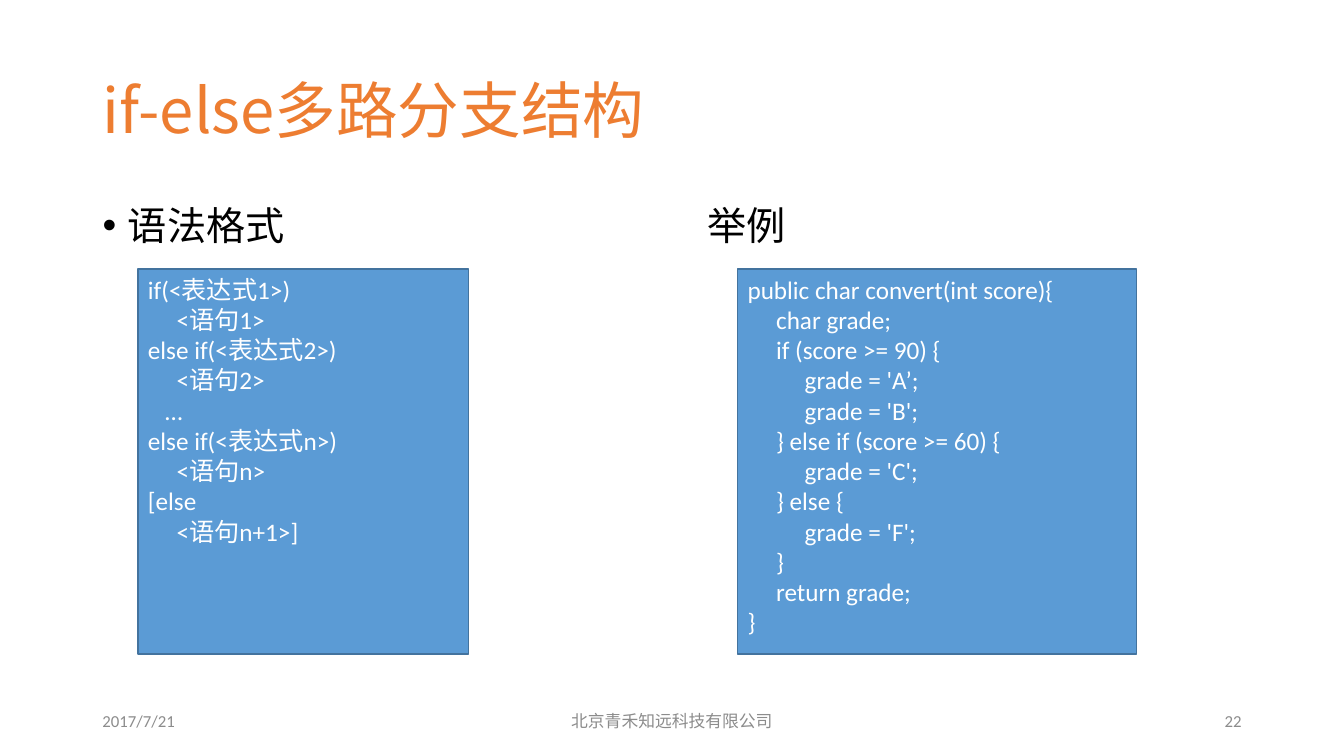
"""Build the slide on the if-else multi-way branch structure."""
import pptx
import pptx.dml.color
import pptx.enum.shapes
import pptx.enum.text
import pptx.oxml
import pptx.oxml.ns
import pptx.util

Cm = pptx.util.Cm
RGBColor = pptx.dml.color.RGBColor
ALIGN = pptx.enum.text.PP_ALIGN
ANCHOR = pptx.enum.text.MSO_ANCHOR

ORANGE = RGBColor(0xED, 0x7D, 0x31)
BLACK = RGBColor(0, 0, 0)
GRAY = RGBColor(0x8C, 0x8C, 0x8C)
WHITE = RGBColor(0xFF, 0xFF, 0xFF)
BLUE = RGBColor(0x5B, 0x9B, 0xD5)
DARK_BLUE = RGBColor(0x43, 0x73, 0x9E)
LATIN_FONT = "Calibri"
CHINESE_FONT = "Noto Sans CJK SC"

TITLE = "if-else多路分支结构"
HEADINGS = ("语法格式", "举例")
SYNTAX = [
    (0, "if(<表达式1>)"),
    (1, "<语句1>"),
    (0, "else if(<表达式2>)"),
    (1, "<语句2>"),
    (0.6, "…"),
    (0, "else if(<表达式n>)"),
    (1, "<语句n>"),
    (0, "[else"),
    (1, "<语句n+1>]"),
]
EXAMPLE = [
    (0, "public char convert(int score){"),
    (1, "char grade;"),
    (1, "if (score >= 90) {"),
    (2, "grade = 'A’;"),
    (2, "grade = 'B';"),
    (1, "} else if (score >= 60) {"),
    (2, "grade = 'C';"),
    (1, "} else {"),
    (2, "grade = 'F';"),
    (1, "}"),
    (1, "return grade;"),
    (0, "}"),
]
CODE_BOXES = [(3.48, 8.33, SYNTAX), (18.59, 10.06, EXAMPLE)]
FOOTERS = [
    (2.33, 7.62, ALIGN.LEFT, LATIN_FONT, "2017/7/21"),
    (11.22, 11.43, ALIGN.CENTER, CHINESE_FONT, "北京青禾知远科技有限公司"),
    (23.92, 7.62, ALIGN.RIGHT, LATIN_FONT, "22"),
]

TITLE_FRAME = (2.33, 1.02, 22.07, 3.68)
BODY_FRAME = (2.33, 5.08, 29.21, 12.09)
CODE_TOP, CODE_HEIGHT = 6.78, 9.7
FOOTER_TOP, FOOTER_HEIGHT = 17.65, 1.02
CODE_INDENT = 0.72
BULLET_INDENT = 0.64
HEADING_TAB = 15.24


def apply(target, values):
    """Set every attribute named in a dict of format values."""
    for name, value in values.items():
        setattr(target, name, value)


def place(shape, frame):
    """Move and size a shape by a frame in centimetres."""
    apply(shape, dict(zip(("left", "top", "width", "height"), map(Cm, frame))))


def write(paragraph, text, size, color, font=LATIN_FONT, **layout):
    """Fill a paragraph with one formatted run."""
    run = paragraph.add_run()
    run.text = text
    apply(run.font, {"size": pptx.util.Pt(size), "name": font})
    run.font.color.rgb = color
    east_asian = pptx.oxml.parse_xml(
        f'<a:ea {pptx.oxml.ns.nsdecls("a")} typeface="{CHINESE_FONT}"/>')
    run.font._element.append(east_asian)
    apply(paragraph, layout)


def prepare(shape, anchor):
    """Give a shape a wrapping text frame of fixed size."""
    apply(shape.text_frame, {
        "word_wrap": True,
        "auto_size": pptx.enum.text.MSO_AUTO_SIZE.NONE,
        "vertical_anchor": anchor,
    })
    return shape.text_frame


def indent(paragraph, margin, first_line=0):
    """Set the left margin and first-line indent in centimetres."""
    properties = paragraph._p.get_or_add_pPr()
    properties.set("marL", str(Cm(margin)))
    properties.set("indent", str(Cm(first_line)))
    return properties


def add_headings(body):
    """Write both headings on one bulleted line with a tab stop."""
    place(body, BODY_FRAME)
    paragraph = prepare(body, ANCHOR.TOP).paragraphs[0]
    write(paragraph, "\t".join(HEADINGS), 28, BLACK, CHINESE_FONT,
          line_spacing=0.9, space_before=pptx.util.Pt(10), alignment=ALIGN.LEFT)
    properties = indent(paragraph, BULLET_INDENT, -BULLET_INDENT)
    namespace = pptx.oxml.ns.nsdecls("a")
    for xml in (
        f'<a:buFont {namespace} typeface="Arial"/>',
        f'<a:buChar {namespace} char="•"/>',
        f'<a:tabLst {namespace}><a:tab pos="{Cm(HEADING_TAB)}" algn="l"/></a:tabLst>',
    ):
        properties.append(pptx.oxml.parse_xml(xml))


def add_code_box(slide, left, width, lines):
    """Draw a blue box of indented code lines."""
    box = slide.shapes.add_shape(
        pptx.enum.shapes.MSO_SHAPE.RECTANGLE,
        *map(Cm, (left, CODE_TOP, width, CODE_HEIGHT)))
    box.shadow.inherit = False
    box.fill.solid()
    box.fill.fore_color.rgb = BLUE
    box.line.color.rgb = DARK_BLUE
    box.line.width = pptx.util.Pt(1)
    frame = prepare(box, ANCHOR.TOP)
    for index, (level, text) in enumerate(lines):
        paragraph = frame.add_paragraph() if index else frame.paragraphs[0]
        write(paragraph, text, 18, WHITE, alignment=ALIGN.JUSTIFY)
        indent(paragraph, level * CODE_INDENT)


def main():
    """Assemble and save the slide."""
    presentation = pptx.Presentation()
    apply(presentation, {"slide_width": Cm(33.87), "slide_height": Cm(19.05)})
    slide = presentation.slides.add_slide(presentation.slide_layouts[1])

    title, body = slide.placeholders
    place(title, TITLE_FRAME)
    write(prepare(title, ANCHOR.MIDDLE).paragraphs[0], TITLE, 44, ORANGE,
          CHINESE_FONT, line_spacing=0.9, alignment=ALIGN.LEFT)
    add_headings(body)

    for left, width, alignment, font, text in FOOTERS:
        footer = slide.shapes.add_textbox(
            *map(Cm, (left, FOOTER_TOP, width, FOOTER_HEIGHT)))
        write(prepare(footer, ANCHOR.MIDDLE).paragraphs[0], text, 12, GRAY,
              font, alignment=alignment)
    for left, width, lines in CODE_BOXES:
        add_code_box(slide, left, width, lines)

    presentation.save("out.pptx")


if __name__ == "__main__":
    main()
